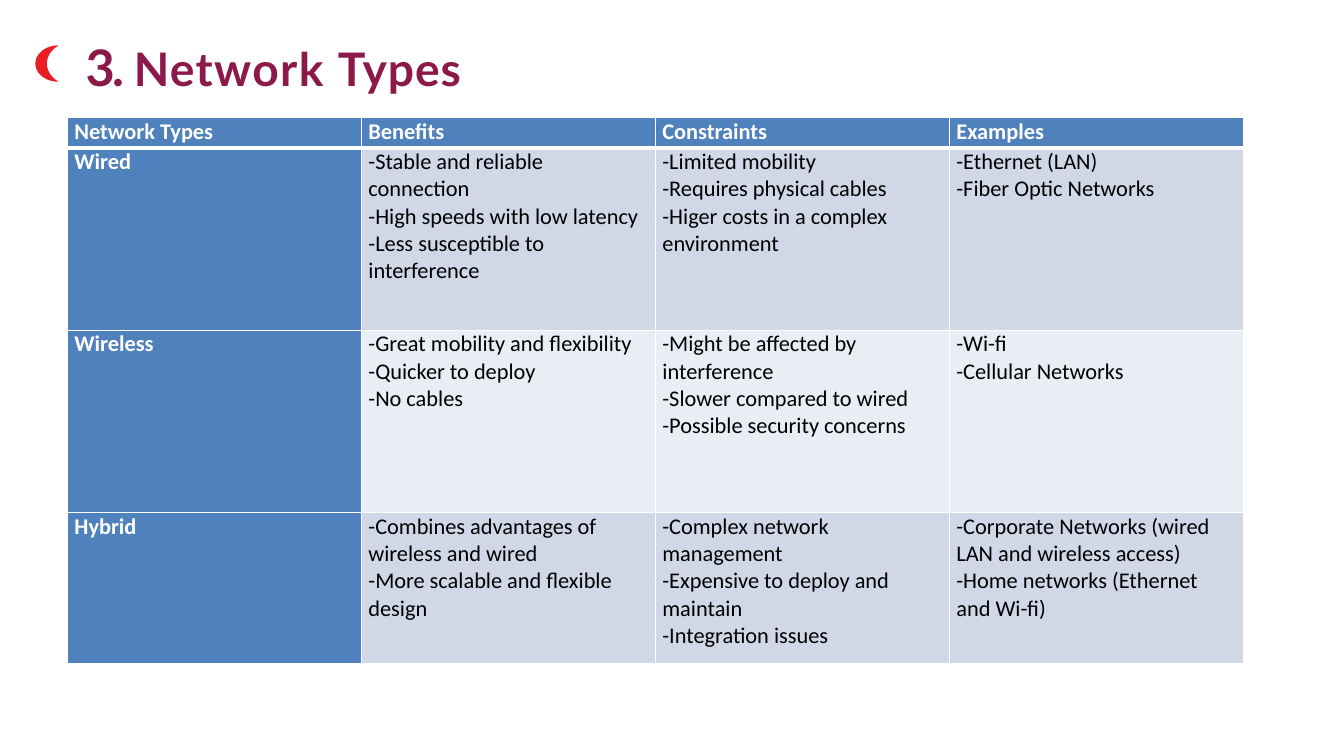
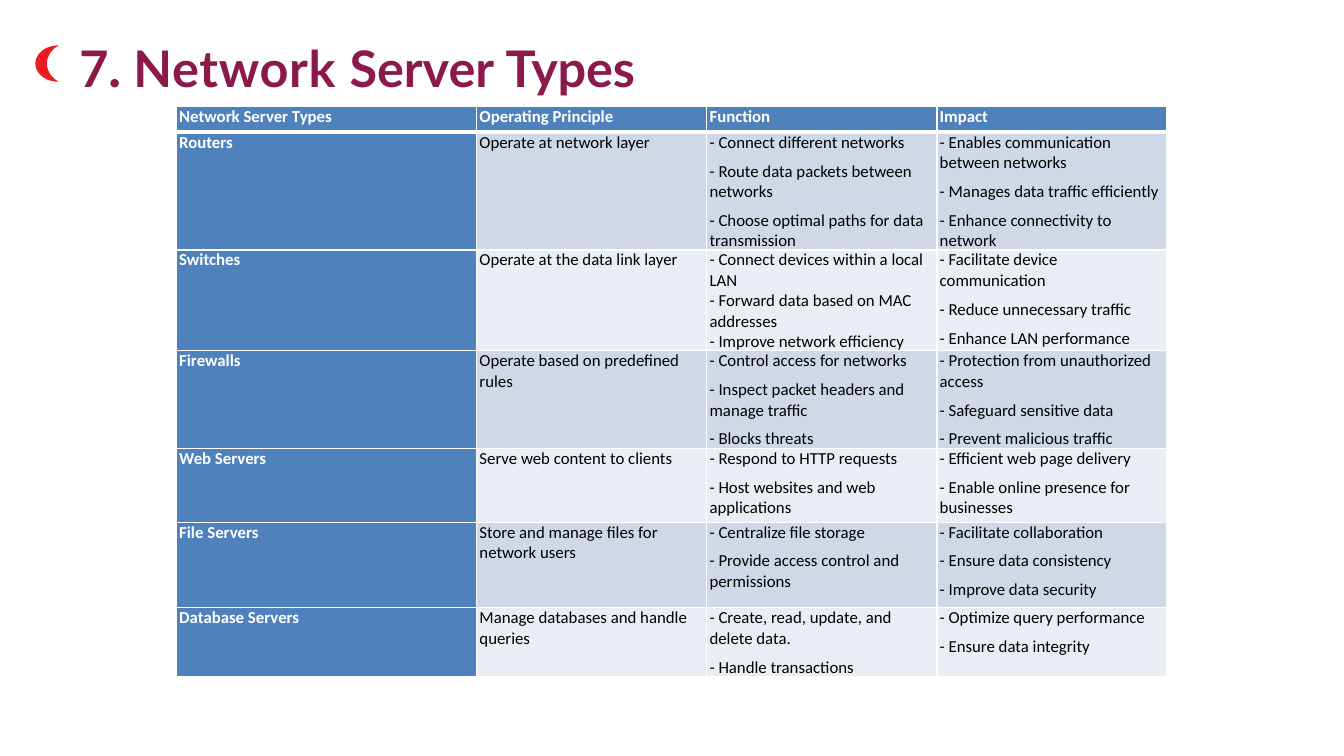
from dataclasses import dataclass

from lxml.etree import SubElement
from pptx import Presentation
from pptx.dml.color import RGBColor
from pptx.enum.shapes import MSO_SHAPE as Shape
from pptx.enum.text import MSO_ANCHOR as Anchor
from pptx.oxml.ns import qn
from pptx.slide import Slide
from pptx.table import _Cell as TableCell
from pptx.util import Pt

WHITE = RGBColor(0xFF, 0xFF, 0xFF)
BLACK = RGBColor(0x00, 0x00, 0x00)
RED = RGBColor(0xEB, 0x1C, 0x23)
PLUM = RGBColor(0x8B, 0x1A, 0x4A)
BLUE = RGBColor(0x4F, 0x81, 0xBD)
BANDS = (RGBColor(0xD0, 0xD8, 0xE8), RGBColor(0xE9, 0xED, 0xF4))

TITLE_FONT = "Lato"
TABLE_FONT = "Calibri"
THIN, THICK = Pt(1), Pt(3)


@dataclass(frozen=True)
class TitleRun:
    text: str
    size: float
    tracking: float = 0


@dataclass(frozen=True)
class Title:
    runs: tuple[TitleRun, ...]
    left: float
    height: float
    indent: float
    top_inset: float
    line_spacing: float | None = None


@dataclass(frozen=True)
class Grid:
    left: float
    top: float
    columns: tuple[float, ...]
    rows: tuple[float, ...]
    size: float
    inset: float
    headings: tuple[str, ...]
    body: tuple[tuple[str, ...], ...]  # one paragraph per line of a cell
    gap: float = 0
    tight_cells: tuple[tuple[int, int], ...] = ()


NETWORK_TITLE = Title(
    (TitleRun("3. ", 36, -1.9), TitleRun("Network ", 33, 1),
     TitleRun("Types", 33, 0.7)),
    left=48.2, height=48.2, indent=13, top_inset=6.5, line_spacing=41.2)

NETWORK_GRID = Grid(
    left=48.2, top=84.2, columns=(210,) * 4, rows=(21.5, 130.3, 130.3, 108),
    size=16, inset=5,
    headings=("Network Types", "Benefits", "Constraints", "Examples"),
    body=(
        ("Wired",
         "-Stable and reliable connection\n-High speeds with low latency\n"
         "-Less susceptible to interference",
         "-Limited mobility\n-Requires physical cables\n"
         "-Higer costs in a complex environment",
         "-Ethernet (LAN)\n-Fiber Optic Networks"),
        ("Wireless",
         "-Great mobility and flexibility\n-Quicker to deploy\n-No cables",
         "-Might be affected by interference\n-Slower compared to wired\n"
         "-Possible security concerns",
         "-Wi-fi\n-Cellular Networks"),
        ("Hybrid",
         "-Combines advantages of wireless and wired\n"
         "-More scalable and flexible design",
         "-Complex network management\n-Expensive to deploy and maintain\n"
         "-Integration issues",
         "-Corporate Networks (wired LAN and wireless access)\n"
         "-Home networks (Ethernet and Wi-fi)"),
    ))

SERVER_TITLE = Title(
    (TitleRun("7", 36, -1.6), TitleRun(". ", 40, -1.6),
     TitleRun("Network ", 36, 0.5), TitleRun("Server ", 36),
     TitleRun("Types", 36, -0.1)),
    left=46.8, height=54.7, indent=10, top_inset=1)

SERVER_GRID = Grid(
    left=126, top=75.8, columns=(214.5, 164.4, 164.4, 164.4),
    rows=(18.7, 78.5, 69.8, 69.8, 52.6, 61.2, 35.3),
    size=12, inset=2, gap=6, tight_cells=((2, 2),),
    headings=("Network Server Types", "Operating Principle", "Function",
              "Impact"),
    body=(
        ("Routers", "Operate at network layer",
         "- Connect different networks\n"
         "- Route data packets between networks\n"
         "- Choose optimal paths for data transmission",
         "- Enables communication between networks\n"
         "- Manages data traffic efficiently\n"
         "- Enhance connectivity to network"),
        ("Switches", "Operate at the data link layer",
         "- Connect devices within a local LAN\n"
         "- Forward data based on MAC addresses\n"
         "- Improve network efficiency",
         "- Facilitate device communication\n- Reduce unnecessary traffic\n"
         "- Enhance LAN performance"),
        ("Firewalls", "Operate based on predefined rules",
         "- Control access for networks\n"
         "- Inspect packet headers and manage traffic\n- Blocks threats",
         "- Protection from unauthorized access\n- Safeguard sensitive data\n"
         "- Prevent malicious traffic"),
        ("Web Servers", "Serve web content to clients",
         "- Respond to HTTP requests\n- Host websites and web applications",
         "- Efficient web page delivery\n"
         "- Enable online presence for businesses"),
        ("File Servers", "Store and manage files for network users",
         "- Centralize file storage\n"
         "- Provide access control and permissions",
         "- Facilitate collaboration\n- Ensure data consistency\n"
         "- Improve data security"),
        ("Database Servers", "Manage databases and handle queries",
         "- Create, read, update, and delete data.\n- Handle transactions",
         "- Optimize query performance\n- Ensure data integrity"),
    ))


def add_red_mark(s: Slide) -> None:
    sp = s.shapes.add_shape(Shape.MOON, Pt(25.2), Pt(32.4), Pt(16.6), Pt(26))
    sp.shadow.inherit = False
    sp.fill.solid()
    sp.fill.fore_color.rgb = RED
    sp.line.fill.background()


def add_title(s: Slide, title: Title) -> None:
    sp = s.shapes.add_textbox(Pt(title.left), Pt(21.6), Pt(820),
                              Pt(title.height))
    tf = sp.text_frame
    tf.word_wrap = True
    tf.vertical_anchor = Anchor.TOP
    tf.margin_left, tf.margin_top = Pt(title.indent), Pt(title.top_inset)
    tf.margin_right = tf.margin_bottom = 0
    p = tf.paragraphs[0]
    if title.line_spacing:
        p.line_spacing = Pt(title.line_spacing)
    for part in title.runs:
        r = p.add_run()
        r.text = part.text
        r.font.name, r.font.size, r.font.bold = TITLE_FONT, Pt(part.size), True
        r.font.color.rgb = PLUM
        r.font._element.set("spc", str(round(part.tracking * 100)))


def set_borders(cell: TableCell, top: int, bottom: int) -> None:
    """Draw white borders; call before the fill, which must follow them."""
    tc_pr = cell._tc.get_or_add_tcPr()
    widths = {"a:lnL": THIN, "a:lnR": THIN, "a:lnT": top, "a:lnB": bottom}
    for tag, width in widths.items():
        ln = SubElement(tc_pr, qn(tag), w=str(int(width)))
        fill = SubElement(ln, qn("a:solidFill"))
        SubElement(fill, qn("a:srgbClr"), val=str(WHITE))


def fill_cell(cell: TableCell, text: str, grid: Grid, row: int,
              col: int) -> None:
    is_label = row == 0 or col == 0
    set_borders(cell, THICK if row == 1 else THIN, THICK if row == 0 else THIN)
    cell.fill.solid()
    cell.fill.fore_color.rgb = BLUE if is_label else BANDS[(row - 1) % 2]
    cell.margin_left = cell.margin_right = Pt(grid.inset)
    cell.margin_top = cell.margin_bottom = 0
    tf = cell.text_frame
    for i, line in enumerate(text.split("\n")):
        p = tf.add_paragraph() if i else tf.paragraphs[0]
        if i and (row, col) not in grid.tight_cells:
            p.space_before = Pt(grid.gap)
        r = p.add_run()
        r.text = line
        r.font.name, r.font.size = TABLE_FONT, Pt(grid.size)
        r.font.bold = is_label
        r.font.color.rgb = WHITE if is_label else BLACK


def add_grid(s: Slide, grid: Grid) -> None:
    frame = s.shapes.add_table(
        len(grid.rows), len(grid.columns), Pt(grid.left), Pt(grid.top),
        Pt(sum(grid.columns)), Pt(sum(grid.rows)))
    table = frame.table
    for column, width in zip(table.columns, grid.columns):
        column.width = Pt(width)
    for row, height in zip(table.rows, grid.rows):
        row.height = Pt(height)
    for i, texts in enumerate((grid.headings, *grid.body)):
        for j, text in enumerate(texts):
            fill_cell(table.cell(i, j), text, grid, i, j)


def main() -> None:
    prs = Presentation()
    prs.slide_width, prs.slide_height = Pt(960), Pt(540)
    for title, grid in ((NETWORK_TITLE, NETWORK_GRID),
                        (SERVER_TITLE, SERVER_GRID)):
        s = prs.slides.add_slide(prs.slide_layouts[6])
        add_red_mark(s)
        add_title(s, title)
        add_grid(s, grid)
    prs.save("out.pptx")


if __name__ == "__main__":
    main()
